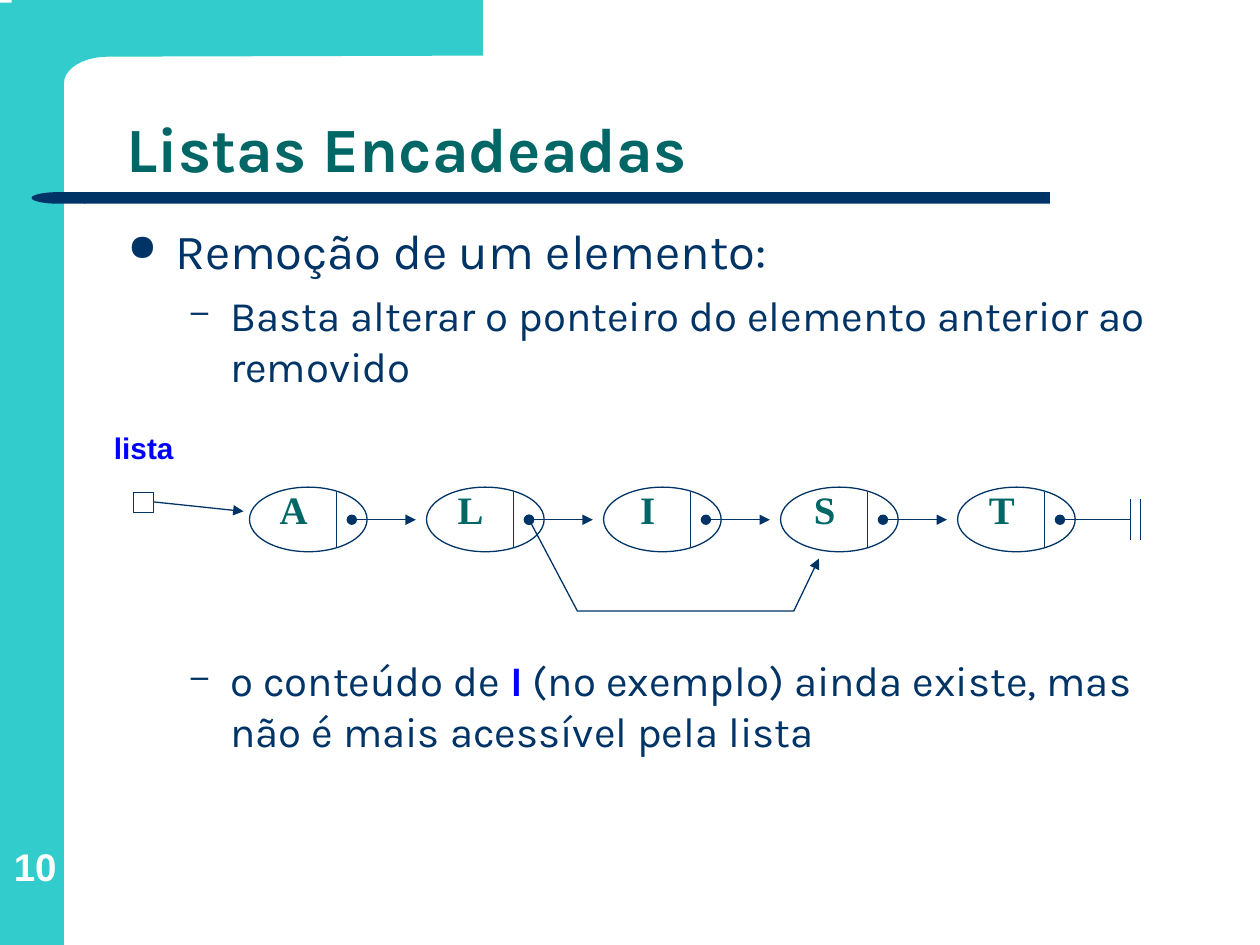
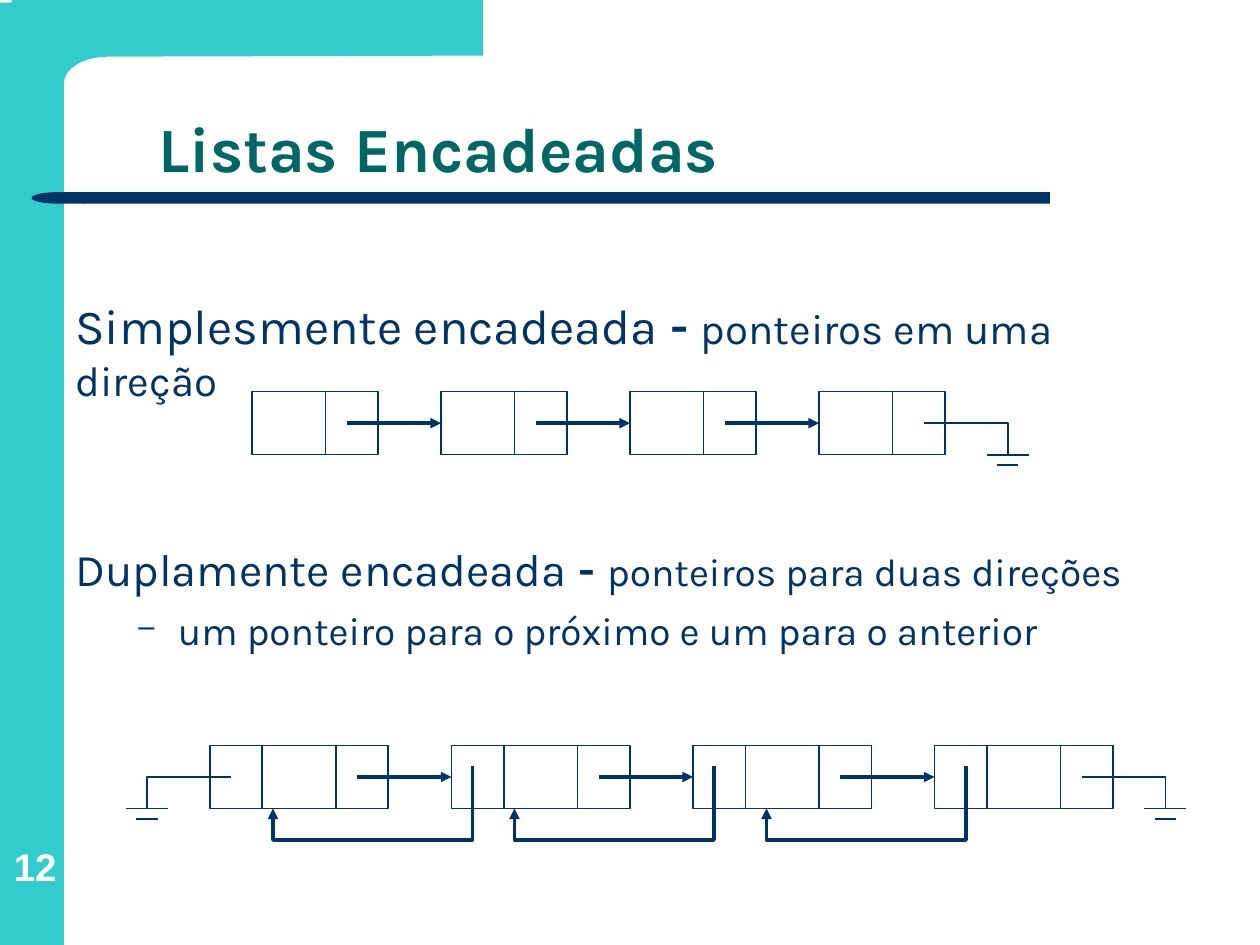
"""Build two slides on removing from and linking linked lists."""
from dataclasses import dataclass
from math import cos, pi, sin

from lxml import etree
from pptx import Presentation, util as u
from pptx.dml.color import RGBColor
from pptx.enum import shapes, text
from pptx.oxml import ns


@dataclass(frozen=True)
class Theme:
    band: str = "33CCCC"
    ink: str = "003366"
    title: str = "006666"
    accent: str = "0000FF"
    paper: str = "FFFFFF"
    body_font: str = "Karla"
    label_font: str = "Arial"
    letter_font: str = "Times New Roman"
    title_size: float = 36
    lead_size: float = 28
    second_lead_size: float = 25.9
    text_size: float = 24
    small_size: float = 22.2
    number_size: float = 22
    label_size: float = 17
    thin: float = 0.75
    medium: float = 1
    thick: float = 2


theme = Theme()
deck = Presentation()
deck.slide_width, deck.slide_height = u.Inches(10), u.Inches(7.5)
columns, rows = 120, 90
cell = deck.slide_width // columns
kinds = shapes.MSO_SHAPE
center = text.PP_ALIGN.CENTER


def draw(page, kind, box, fill=None, width=theme.medium):
    """Add a filled shape without outline, or an outlined one without fill."""
    shape = page.shapes.add_shape(kind, *(round(v * cell) for v in box))
    shape.shadow.inherit = False
    if fill:
        shape.fill.solid()
        shape.fill.fore_color.rgb = RGBColor.from_string(fill)
        shape.line.fill.background()
    else:
        shape.fill.background()
        shape.line.color.rgb = RGBColor.from_string(theme.ink)
        shape.line.width = u.Pt(width)
    return shape


def write(page, box, paragraphs, font=theme.body_font, inset=(1.2, 0.6),
          anchor=text.MSO_ANCHOR.TOP, align=None, spacing=None):
    """Add paragraphs given as (runs, space before, bullet, indent, hang)."""
    frame = page.shapes.add_textbox(*(round(v * cell) for v in box)).text_frame
    frame.word_wrap = True
    frame.vertical_anchor = anchor
    frame.margin_left = frame.margin_right = round(inset[0] * cell)
    frame.margin_top = frame.margin_bottom = round(inset[1] * cell)
    for index, (runs, before, *bullet) in enumerate(paragraphs):
        para = frame.add_paragraph() if index else frame.paragraphs[0]
        para.alignment = align
        para.line_spacing = spacing
        para.space_before = u.Pt(before)
        for words, size, color, bold in runs:
            span = para.add_run()
            span.text = words
            span.font.name = font
            span.font.size = u.Pt(size)
            span.font.bold = bold
            span.font.color.rgb = RGBColor.from_string(color)
        if bullet:
            mark, indent, hang = bullet
            props = para._p.get_or_add_pPr()
            props.set("marL", str(round(indent * cell)))
            props.set("indent", str(round(-hang * cell)))
            tint = etree.SubElement(props, ns.qn("a:buClr"))
            etree.SubElement(tint, ns.qn("a:srgbClr"), val=theme.ink)
            etree.SubElement(props, ns.qn("a:buSzPct"), val="75000")
            etree.SubElement(props, ns.qn("a:buChar"), char=mark)


pages = []
for number, title_left in (("10", 10.9), ("12", 13.9)):
    page = deck.slides.add_slide(deck.slide_layouts[6])
    pages.append(page)
    draw(page, kinds.RECTANGLE, (0, 0.24, 6.1, rows - 0.24), theme.band)
    arc = [(10.3 - 4.2 * sin(step * pi / 20), 7.9 - 2.5 * cos(step * pi / 20))
           for step in range(11)]
    corner = [(1.1, 0), (46, 0), (46, 5.3), *arc, (6.1, 8.2), (1.1, 8.2)]
    corner = [(round(x * cell), round(y * cell)) for x, y in corner]
    builder = page.shapes.build_freeform(*corner[0])
    builder.add_line_segments(corner[1:], close=True)
    bracket = builder.convert_to_shape()
    bracket.shadow.inherit = False
    bracket.fill.solid()
    bracket.fill.fore_color.rgb = RGBColor.from_string(theme.band)
    bracket.line.fill.background()
    draw(page, kinds.RECTANGLE, (8, 18.3, 92, 1.1), theme.ink)
    draw(page, kinds.FLOWCHART_DELAY, (3, 18.3, 5.1, 1.1), theme.ink).rotation = 180
    write(page, (0.4, 78.2, 5.9, 6.5), [([(number, theme.number_size, theme.paper, True)], 0)],
          theme.label_font, (0, 0), text.MSO_ANCHOR.BOTTOM, center)
    write(page, (title_left, 5.3, 102, 13),
          [([("Listas Encadeadas", theme.title_size, theme.title, True)], 0)],
          anchor=text.MSO_ANCHOR.BOTTOM, spacing=0.9)

removal, kinds_of_list = pages
strokes = []

write(removal, (11, 20.4, 101, 59.4), [
    ([("Remoção de um elemento:", theme.lead_size, theme.ink, False)], 7, "●", 4.5, 4.5),
    ([("Basta alterar o ponteiro do elemento anterior ao removido",
       theme.text_size, theme.ink, False)], 6, "–", 9.75, 3.75),
    ([("o conteúdo de ", theme.text_size, theme.ink, False),
      ("I", theme.text_size, theme.accent, True),
      (" (no exemplo) ainda existe, mas não é mais acessível pela lista",
       theme.text_size, theme.ink, False)], 151, "–", 9.75, 3.75),
])
write(removal, (8, 41.2, 11.4, 3.7), [([("lista", theme.label_size, theme.accent, True)], 0)],
      theme.label_font, (0.1, 0.1), align=center, spacing=0.9)
draw(removal, kinds.RECTANGLE, (12.7, 46.9, 1.9, 1.9), width=theme.thin)
strokes.append((removal, [(14.6, 47.8), (23.2, 48.7)], theme.thin, None, "triangle"))

letters = "ALIST"
for index, letter in enumerate(letters):
    left = 23.76 + 16.86 * index
    draw(removal, kinds.OVAL, (left, 46.4, 11.2, 6.15), width=theme.thin)
    write(removal, (left + 2, 46.7, 4.4, 4.8),
          [([(letter, theme.small_size, theme.title, True)], 0)],
          theme.letter_font, (0.1, 0.1), align=center, spacing=0.9)
    strokes.append((removal, [(left + 8.3, 46.9), (left + 8.3, 52.1)], theme.thin, None, None))
    last = index == len(letters) - 1
    end = 107.7 if last else left + 15.85
    strokes.append((removal, [(left + 9.75, 49.5), (end, 49.5)], theme.thin,
                    "oval", None if last else "triangle"))
for stop in (107.7, 108.6):
    strokes.append((removal, [(stop, 47.5), (stop, 51.4)], theme.thin, None, None))
bypass = [(50.4, 49.5), (55, 58.2), (75.6, 58.2), (78, 53.2)]
strokes.append((removal, bypass, theme.thin, "oval", "triangle"))

write(kinds_of_list, (6, 27.6, 107.3, 13.4), [
    ([("Simplesmente encadeada", theme.lead_size, theme.ink, False),
      (" - ", theme.lead_size, theme.ink, True),
      ("ponteiros em uma direção", theme.text_size, theme.ink, False)], 0),
])
write(kinds_of_list, (6, 51, 111.5, 17), [
    ([("Duplamente encadeada", theme.second_lead_size, theme.ink, False),
      (" - ", theme.second_lead_size, theme.ink, True),
      ("ponteiros para duas direções", theme.small_size, theme.ink, False)], 6),
    ([("um ponteiro para o próximo e um para o anterior",
       theme.small_size, theme.ink, False)], 6, "–", 9.75, 3.75),
])

chain_gap, node_height, node_count = 6, 6, 4
for first, top, fields in ((24, 37.3, (7, 5)), (20, 71, (5, 7, 5))):
    node_width = sum(fields)
    middle = top + node_height / 2
    for index in range(node_count):
        left = first + index * (node_width + chain_gap)
        right = left + node_width
        for position, width in enumerate(fields):
            draw(kinds_of_list, kinds.RECTANGLE,
                 (left + sum(fields[:position]), top, width, node_height))
        if index < node_count - 1:
            strokes.append((kinds_of_list, [(right - 3, middle), (right + chain_gap, middle)],
                            theme.thick, None, "triangle"))

for start, ground, top in ((88, 96, 37.3), (103, 111, 71), (22, 14, 71)):
    middle, base = top + node_height / 2, top + node_height
    for points in ([(start, middle), (ground, middle), (ground, base)],
                   [(ground - 2, base), (ground + 2, base)],
                   [(ground - 1, base + 1), (ground + 1, base + 1)]):
        strokes.append((kinds_of_list, points, theme.medium, None, None))

for start, target in ((45, 26), (68, 49), (92, 73)):
    strokes.append((kinds_of_list, [(start, 73), (start, 80), (target, 80), (target, 77)],
                    theme.thick, None, "triangle"))

for page, points, width, head, tail in strokes:
    points = [(round(x * cell), round(y * cell)) for x, y in points]
    if len(points) == 2:
        stroke = page.shapes.add_connector(shapes.MSO_CONNECTOR.STRAIGHT, *points[0], *points[1])
    else:
        builder = page.shapes.build_freeform(*points[0])
        builder.add_line_segments(points[1:], close=False)
        stroke = builder.convert_to_shape()
        stroke.fill.background()
    stroke.line.color.rgb = RGBColor.from_string(theme.ink)
    stroke.line.width = u.Pt(width)
    props = stroke.element.spPr
    outline = props.find(ns.qn("a:ln"))
    for tag, ending in (("a:headEnd", head), ("a:tailEnd", tail)):
        if ending:
            etree.SubElement(outline, ns.qn(tag), type=ending)
    etree.SubElement(props, ns.qn("a:effectLst"))

deck.save("out.pptx")
